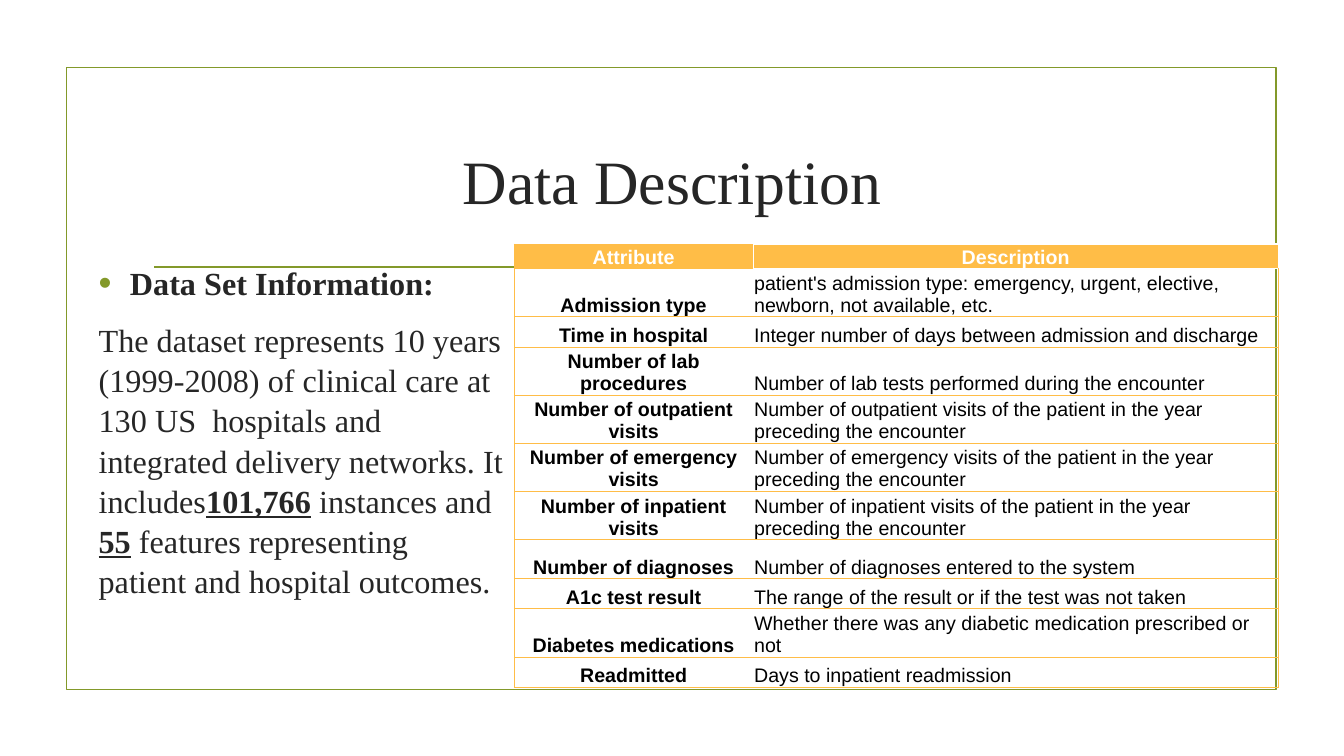
import pptx
import pptx.util
import pptx.dml.color
import pptx.enum.shapes
import pptx.enum.text
import pptx.oxml.ns
from dataclasses import dataclass
from lxml import etree

Inches, Pt = pptx.util.Inches, pptx.util.Pt
RGB = pptx.dml.color.RGBColor.from_string
ALIGN, ANCHOR = pptx.enum.text.PP_ALIGN, pptx.enum.text.MSO_ANCHOR
qn = pptx.oxml.ns.qn


@dataclass(frozen=True)
class Theme:
    green: str = "83992A"
    amber: str = "FFBD47"
    white: str = "FFFFFF"
    ink: str = "262626"
    black: str = "000000"
    serif: str = "Times New Roman"
    sans: str = "Arial"
    title: float = 44
    body: float = 23
    cell: float = 14
    rule: float = 1.25


T = Theme()
COLS = [2.37, 5.21]
ROWS = [  # height, attribute, description
    (0.23, "Attribute", "Description"),
    (0.45, "Admission type", "patient's admission type: emergency, urgent, elective, newborn, not available, etc."),
    (0.3, "Time in hospital", "Integer number of days between admission and discharge"),
    (0.45, "Number of lab procedures", "Number of lab tests performed during the encounter"),
    (0.45, "Number of outpatient visits",
     "Number of outpatient visits of the patient in the year preceding the encounter"),
    (0.45, "Number of emergency visits",
     "Number of emergency visits of the patient in the year preceding the encounter"),
    (0.45, "Number of inpatient visits",
     "Number of inpatient visits of the patient in the year preceding the encounter"),
    (0.39, "Number of diagnoses", "Number of diagnoses entered to the system"),
    (0.3, "A1c test result", "The range of the result or if the test was not taken"),
    (0.45, "Diabetes medications", "Whether there was any diabetic medication prescribed or not"),
    (0.3, "Readmitted", "Days to inpatient readmission"),
]
SUMMARY = [  # text, emphasised
    ("The dataset represents 10 years (1999-2008) of clinical care at 130 US  hospitals "
     "and integrated delivery networks. It includes", False),
    ("101,766", True),
    (" instances and ", False),
    ("55", True),
    (" features representing patient and hospital outcomes.", False),
]


def apply(obj, **values):
    for name, value in values.items():
        setattr(obj, name, value)


def add_run(p, text, size, font, color, **style):
    r = p.add_run()
    r.text = text
    apply(r.font, size=Pt(size), name=font, **style)
    r.font.color.rgb = RGB(color)


def add_text_frame(s, box, anchor):
    tf = s.shapes.add_textbox(*map(Inches, box)).text_frame
    apply(tf, word_wrap=True, vertical_anchor=anchor)
    return tf


def add_frame(s, box):
    # Green outline and the rule under the title
    x, y, w, h = box
    sp = s.shapes.add_shape(pptx.enum.shapes.MSO_SHAPE.RECTANGLE, *map(Inches, box))
    sp.shadow.inherit = False
    sp.fill.background()
    rule_y = Inches(y + 1.98)
    rule = s.shapes.add_connector(pptx.enum.shapes.MSO_CONNECTOR.STRAIGHT,
                                  Inches(x + 0.87), rule_y, Inches(x + w - 0.85), rule_y)
    etree.SubElement(rule.element.spPr, qn("a:effectLst"))
    for shape in (sp, rule):
        shape.line.color.rgb = RGB(T.green)
        shape.line.width = Pt(T.rule)


def add_title(s, box):
    p = add_text_frame(s, box, ANCHOR.MIDDLE).paragraphs[0]
    p.alignment = ALIGN.CENTER
    add_run(p, "Data Description", T.title, T.serif, T.ink)


def add_bullet(p, indent):
    pPr = p._p.get_or_add_pPr()
    pPr.set("marL", str(Inches(indent)))
    pPr.set("indent", str(-Inches(indent)))
    color = etree.SubElement(pPr, qn("a:buClr"))
    etree.SubElement(color, qn("a:srgbClr"), val=T.green)
    etree.SubElement(pPr, qn("a:buSzPct"), val="115000")
    etree.SubElement(pPr, qn("a:buFont"), typeface=T.sans)
    etree.SubElement(pPr, qn("a:buChar"), char="•")


def add_summary(s, box):
    tf = add_text_frame(s, box, ANCHOR.TOP)
    tf.margin_top = 0
    head, p = tf.paragraphs[0], tf.add_paragraph()
    apply(head, line_spacing=1.04, space_after=Pt(6))
    apply(p, line_spacing=1.04, space_before=Pt(6), space_after=Pt(6))
    add_bullet(head, 0.31)
    add_run(head, "Data Set Information:", T.body, T.serif, T.ink, bold=True)
    for text, strong in SUMMARY:
        add_run(p, text, T.body, T.serif, T.ink, bold=strong, underline=strong)


def set_borders(cell, borders):
    # Border elements come before the fill, in the order left, right, top, bottom
    tcPr = cell._tc.get_or_add_tcPr()
    for i, side in enumerate("LRTB"):
        color, width = borders[side] or (None, 0)
        ln = etree.Element(qn("a:ln" + side), w=str(Pt(width)))
        if color:
            fill = etree.SubElement(ln, qn("a:solidFill"))
            etree.SubElement(fill, qn("a:srgbClr"), val=color)
        else:
            etree.SubElement(ln, qn("a:noFill"))
        tcPr.insert(i, ln)


def cell_borders(row, col):
    amber, white = (T.amber, 0.5), (T.white, 1)
    if row == 0:
        return dict.fromkeys("LRTB", white) if col else dict(L=amber, R=white, T=amber, B=amber)
    return dict(L=None if col else amber, R=amber if col else None,
                T=white if col and row == 1 else amber, B=amber)


def fill_cell(cell, text, row, col):
    header = row == 0
    apply(cell, vertical_anchor=ANCHOR.BOTTOM, margin_left=Inches(0.01),
          margin_right=Inches(0.01), margin_top=Inches(0.01), margin_bottom=0)
    if header:
        cell.fill.solid()
        cell.fill.fore_color.rgb = RGB(T.amber)
    else:
        cell.fill.background()
    p = cell.text_frame.paragraphs[0]
    p.alignment = ALIGN.CENTER if header or col == 0 else ALIGN.LEFT
    add_run(p, text, T.cell, T.sans, T.white if header else T.black, bold=header or col == 0)
    set_borders(cell, cell_borders(row, col))


def add_attributes(s, box):
    table = s.shapes.add_table(len(ROWS), len(COLS), *map(Inches, box)).table
    apply(table, first_row=False, horz_banding=False)
    for column, width in zip(table.columns, COLS):
        column.width = Inches(width)
    for i, (height, *texts) in enumerate(ROWS):
        table.rows[i].height = Inches(height)
        for j, text in enumerate(texts):
            fill_cell(table.cell(i, j), text, i, j)


def main():
    prs = pptx.Presentation()
    apply(prs, slide_width=Inches(13.33), slide_height=Inches(7.5))
    s = prs.slides.add_slide(prs.slide_layouts[6])
    add_frame(s, (0.66, 0.67, 12, 6.17))
    add_title(s, (1.42, 1.07, 10.5, 1.43))
    add_summary(s, (0.88, 2.6, 4.22, 3.4))
    add_attributes(s, (5.1, 2.42, sum(COLS), sum(row[0] for row in ROWS)))
    prs.save("out.pptx")


if __name__ == "__main__":
    main()
